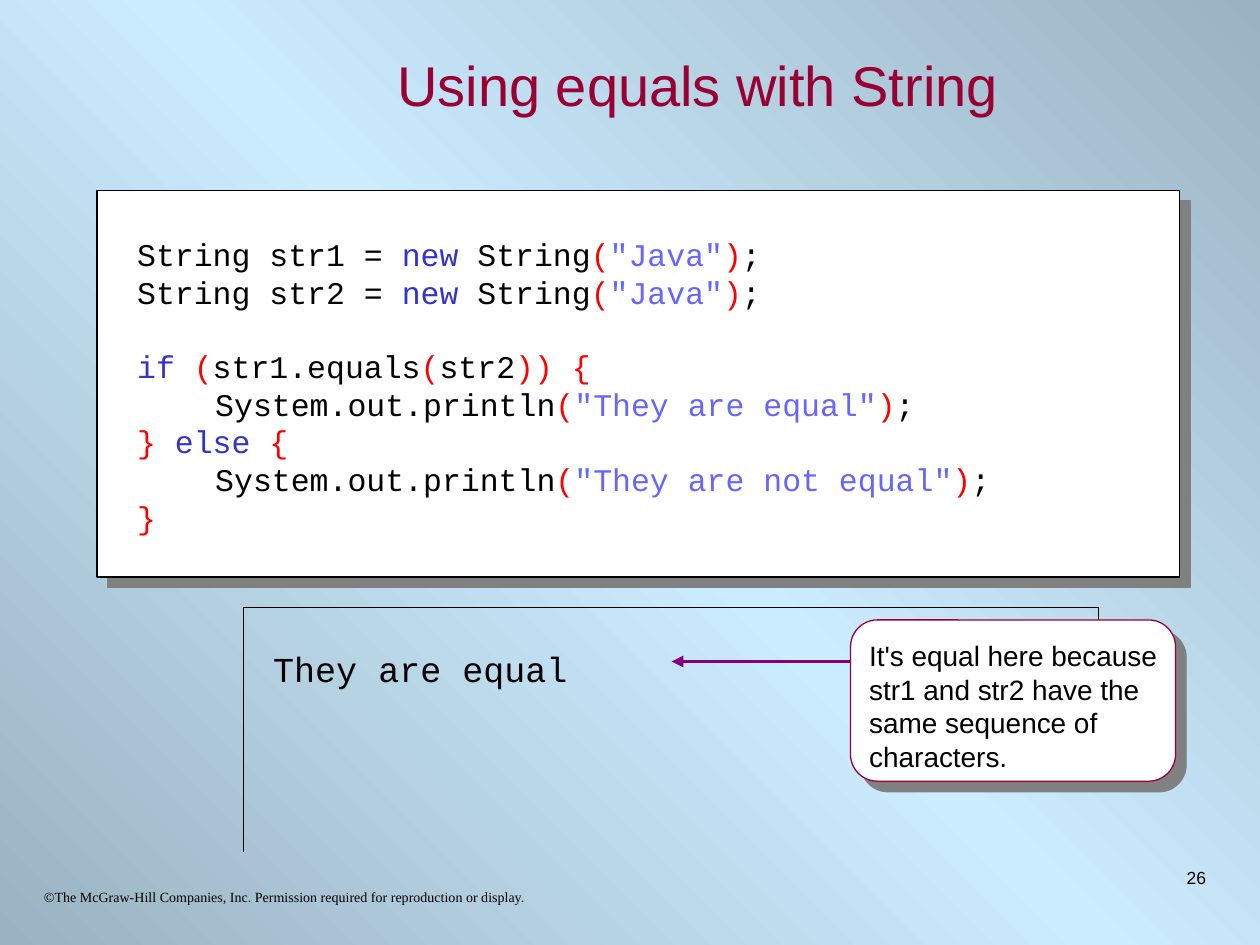
"""Build the slide that explains comparing strings with equals."""
from copy import deepcopy
from dataclasses import dataclass

from lxml import etree
from pptx import Presentation
from pptx import util as u
from pptx.dml.color import RGBColor
from pptx.enum import shapes, text
from pptx.oxml.ns import qn

PX = 9144
BLACK = RGBColor(0x00, 0x00, 0x00)
WHITE = RGBColor(0xFF, 0xFF, 0xFF)
CRIMSON = RGBColor(0x99, 0x00, 0x33)
PURPLE = RGBColor(0x80, 0x00, 0x80)
KEYWORD = RGBColor(0x33, 0x33, 0xCC)
BRACKET = RGBColor(0xFF, 0x00, 0x00)
LITERAL = RGBColor(0x66, 0x66, 0xFF)
STEEL = RGBColor(0x9A, 0xB2, 0xC1)
SKY = RGBColor(0xCC, 0xEC, 0xFF)
SHADOW = RGBColor(0x80, 0x80, 0x80)
CODE_TAB = 62
BLANK_LINE = 20.4


@dataclass(frozen=True)
class Box:
    left: int
    top: int
    width: int
    height: int

    def emu(self) -> tuple:
        return tuple(u.Emu(n * PX) for n in (self.left, self.top, self.width, self.height))


@dataclass(frozen=True)
class Run:
    words: str
    color: RGBColor = BLACK


@dataclass(frozen=True)
class Line:
    runs: tuple
    space_before: float = 0


@dataclass(frozen=True)
class Label:
    box: Box
    lines: tuple
    font: str
    size: int
    align: text.PP_ALIGN = text.PP_ALIGN.LEFT
    anchor: text.MSO_ANCHOR = text.MSO_ANCHOR.TOP
    tab: int = 0


@dataclass(frozen=True)
class Panel:
    kind: shapes.MSO_SHAPE
    box: Box
    border: RGBColor


def plain(words: str, color: RGBColor = BLACK) -> tuple:
    return (Line((Run(words, color),)),)


def declaration(name: str) -> Line:
    return Line((Run(f"String {name} = "), Run("new", KEYWORD), Run(" String"),
                 Run("(", BRACKET), Run('"Java"', LITERAL), Run(")", BRACKET), Run(";")))


def print_call(message: str) -> Line:
    return Line((Run("\tSystem.out.println"), Run("(", BRACKET),
                 Run(f'"{message}"', LITERAL), Run(")", BRACKET), Run(";")))


CODE = (
    declaration("str1"),
    declaration("str2"),
    Line((Run("if ", KEYWORD), Run("(", BRACKET), Run("str1.equals"), Run("(", BRACKET),
          Run("str2"), Run(")) {", BRACKET)), BLANK_LINE),
    print_call("They are equal"),
    Line((Run("} ", BRACKET), Run("else ", KEYWORD), Run("{", BRACKET))),
    print_call("They are not equal"),
    Line((Run("}", BRACKET),)),
)
TITLE = Label(Box(150, 25, 808, 83), plain("Using equals with String", CRIMSON), "Arial", 32,
              text.PP_ALIGN.CENTER, text.MSO_ANCHOR.MIDDLE)
CODE_PANEL = Panel(shapes.MSO_SHAPE.RECTANGLE, Box(77, 151, 859, 307), BLACK)
CODE_TEXT = Label(Box(99, 182, 816, 250), CODE, "Courier New", 18, tab=CODE_TAB)
CONSOLE_FRAME = ((193, 676), (193, 482), (872, 482), (872, 607))
OUTPUT = Label(Box(207, 509, 390, 44), plain("They are equal"), "Courier New", 20)
CALLOUT_PANEL = Panel(shapes.MSO_SHAPE.ROUNDED_RECTANGLE, Box(675, 492, 258, 128), CRIMSON)
CALLOUT_TEXT = Label(
    Box(680, 502, 249, 117),
    plain("It's equal here because str1 and str2 have the same sequence of characters."),
    "Arial", 16)
COPYRIGHT = Label(
    Box(25, 700, 482, 27),
    plain("©The McGraw-Hill Companies, Inc. Permission required for reproduction or display."),
    "Times New Roman", 8)
PAGE_NUMBER = Label(Box(750, 683, 217, 50), plain("26"), "Arial", 10, text.PP_ALIGN.RIGHT)


def paint_background(slide) -> None:
    fill = slide.background.fill
    fill.gradient()
    fill.gradient_angle = 225
    stop_list = slide.element.find(f".//{qn('a:gsLst')}")
    stop_list.append(deepcopy(stop_list[0]))
    for stop, position, color in zip(fill.gradient_stops, (0, 0.5, 1), (STEEL, SKY, STEEL)):
        stop.position = position
        stop.color.rgb = color


def add_label(slide, label: Label) -> None:
    frame = slide.shapes.add_textbox(*label.box.emu()).text_frame
    frame.word_wrap = True
    frame.vertical_anchor = label.anchor
    for index, line in enumerate(label.lines):
        paragraph = frame.add_paragraph() if index else frame.paragraphs[0]
        if label.tab:
            tabs = etree.SubElement(paragraph._p.get_or_add_pPr(), qn("a:tabLst"))
            etree.SubElement(tabs, qn("a:tab"), pos=str(label.tab * PX), algn="l")
        paragraph.alignment = label.align
        if line.space_before:
            paragraph.space_before = u.Pt(line.space_before)
        for part in line.runs:
            run = paragraph.add_run()
            run.text = part.words
            run.font.name = label.font
            run.font.size = u.Pt(label.size)
            run.font.color.rgb = part.color


def add_panel(slide, panel: Panel) -> None:
    shape = slide.shapes.add_shape(panel.kind, *panel.box.emu())
    shape.fill.solid()
    shape.fill.fore_color.rgb = WHITE
    shape.line.color.rgb = panel.border
    shape.line.width = u.Pt(0.75)
    shape.shadow.inherit = False
    effects = shape._element.spPr.find(qn("a:effectLst"))
    shadow = etree.SubElement(effects, qn("a:outerShdw"), blurRad="0", dist=str(u.Pt(8.5)),
                              dir="2700000", algn="ctr", rotWithShape="0")
    etree.SubElement(shadow, qn("a:srgbClr"), val=str(SHADOW))


def add_console_frame(slide, points: tuple) -> None:
    builder = slide.shapes.build_freeform(*points[0], scale=PX)
    builder.add_line_segments(points[1:], close=False)
    shape = builder.convert_to_shape()
    shape.fill.background()
    shape.line.color.rgb = BLACK
    shape.line.width = u.Pt(0.75)
    shape.shadow.inherit = False


def add_arrow(slide, tip: int, end: int, y: int) -> None:
    arrow = slide.shapes.add_connector(shapes.MSO_CONNECTOR.STRAIGHT,
                                       tip * PX, y * PX, end * PX, y * PX)
    arrow.line.color.rgb = PURPLE
    arrow.line.width = u.Pt(2.25)
    etree.SubElement(arrow.line._get_or_add_ln(), qn("a:headEnd"), type="triangle")
    etree.SubElement(arrow._element.spPr, qn("a:effectLst"))


def main() -> None:
    presentation = Presentation()
    presentation.slide_width = u.Emu(1000 * PX)
    presentation.slide_height = u.Emu(750 * PX)
    slide = presentation.slides.add_slide(presentation.slide_layouts[6])
    paint_background(slide)
    add_label(slide, TITLE)
    add_panel(slide, CODE_PANEL)
    add_label(slide, CODE_TEXT)
    add_console_frame(slide, CONSOLE_FRAME)
    add_label(slide, OUTPUT)
    add_arrow(slide, 533, CALLOUT_PANEL.box.left, 525)
    add_panel(slide, CALLOUT_PANEL)
    for label in (CALLOUT_TEXT, COPYRIGHT, PAGE_NUMBER):
        add_label(slide, label)
    presentation.save("out.pptx")


if __name__ == "__main__":
    main()
